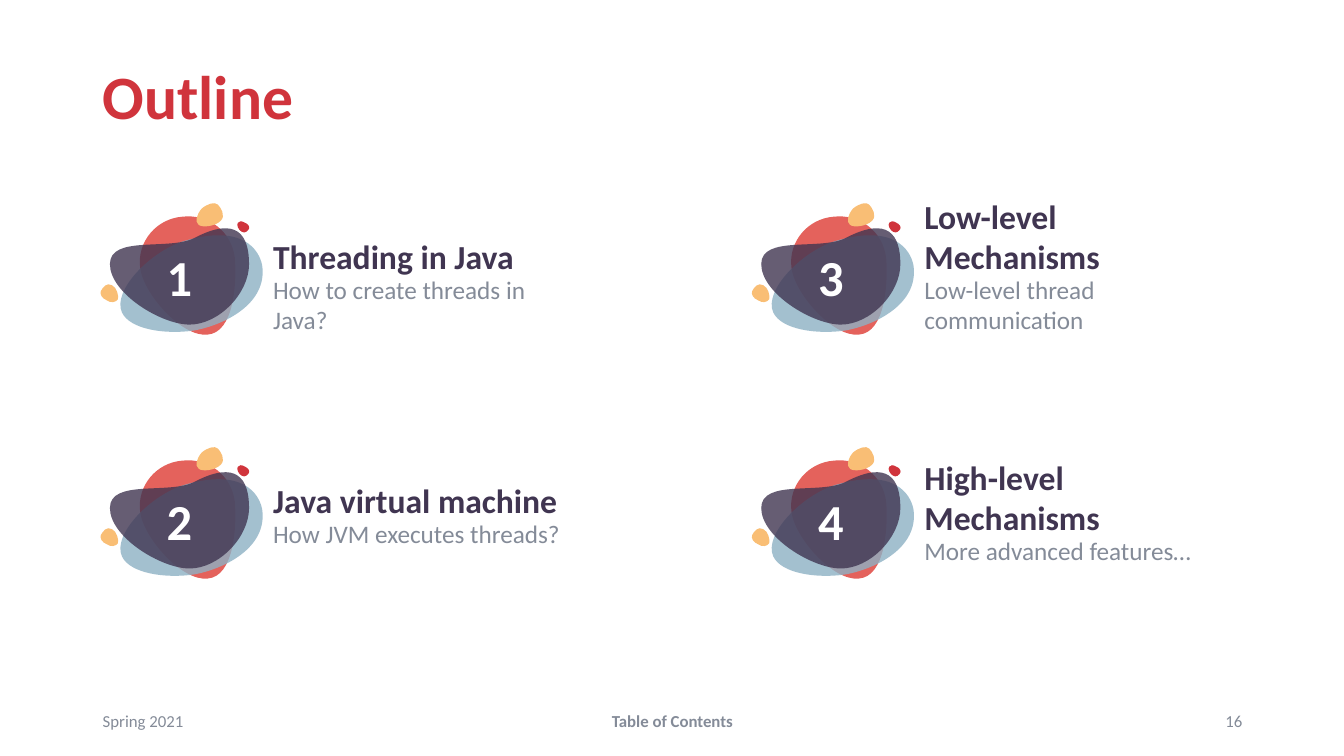
from dataclasses import dataclass

from lxml.etree import SubElement
from pptx import Presentation
from pptx.dml.color import RGBColor
from pptx.enum.text import MSO_ANCHOR as Anchor, MSO_AUTO_SIZE as AutoSize, PP_ALIGN as Align
from pptx.oxml.ns import qn
from pptx.util import Inches, Pt

FONT = "Calibri"
RED, CORAL, BLUE, PURPLE = "D0343C", "E4625C", "8DB1C4", "403551"
YELLOW, GREY, WHITE = "F9BE75", "848B98", "FFFFFF"
CURVE_STEPS = 16
COLUMN_GAP, ROW_GAP = 6.46, 2.42
TEXT_LEFT, TEXT_WIDTH = 2.61, 3.26
SIDE_INSET = 0.1
LINE_OVERLAP = 0.02

Point = tuple[float, float]


@dataclass(frozen=True)
class Blob:
    """A closed outline of cubic curves; each curve is two handles and an end."""
    color: str
    start: Point
    curves: tuple[tuple[Point, Point, Point], ...]
    opacity: int = 100
    numbered: bool = False


@dataclass(frozen=True)
class Topic:
    """One entry of the outline, placed in a two by two grid."""
    heading: str
    detail: str
    column: int
    row: int
    heading_bottom: float
    heading_height: float
    detail_height: float


@dataclass(frozen=True)
class Footer:
    """One part of the footer line."""
    words: str
    left: float
    width: float
    align: Align
    bold: bool = False


BADGE = (
    Blob(CORAL, (1.39, 2.65), (
        ((1.41, 2.9), (1.8, 3.35), (2.06, 3.32)),
        ((2.32, 3.3), (2.35, 2.81), (2.33, 2.56)),
        ((2.3, 2.3), (2.07, 2.12), (1.81, 2.15)),
        ((1.55, 2.17), (1.36, 2.4), (1.39, 2.65)))),
    Blob(BLUE, (1.21, 3.1), (
        ((1.29, 3.27), (1.64, 3.32), (1.92, 3.28)),
        ((2.21, 3.23), (2.66, 3.02), (2.6, 2.63)),
        ((2.57, 2.48), (2.41, 2.22), (1.83, 2.39)),
        ((1.5, 2.49), (1.11, 2.88), (1.21, 3.1))), opacity=80),
    Blob(PURPLE, (1.09, 2.62), (
        ((1.09, 2.91), (1.6, 3.22), (1.88, 3.22)),
        ((2.17, 3.22), (2.47, 2.91), (2.47, 2.62)),
        ((2.47, 2.33), (2.35, 2.14), (1.93, 2.36)),
        ((1.68, 2.49), (1.09, 2.33), (1.09, 2.62))), opacity=80, numbered=True),
    Blob(YELLOW, (1.97, 2.23), (
        ((2, 2.26), (2.13, 2.25), (2.19, 2.19)),
        ((2.24, 2.14), (2.19, 2.06), (2.16, 2.03)),
        ((2.13, 2), (2.06, 2.02), (2, 2.07)),
        ((1.95, 2.13), (1.93, 2.2), (1.97, 2.23)))),
    Blob(YELLOW, (1.17, 2.97), (
        ((1.18, 2.94), (1.16, 2.85), (1.11, 2.83)),
        ((1.06, 2.8), (1.02, 2.85), (1, 2.89)),
        ((0.99, 2.92), (1.01, 2.96), (1.06, 2.98)),
        ((1.1, 3.01), (1.15, 3), (1.17, 2.97)))),
    Blob(RED, (2.36, 2.21), (
        ((2.34, 2.23), (2.37, 2.29), (2.4, 2.3)),
        ((2.43, 2.32), (2.46, 2.29), (2.47, 2.27)),
        ((2.48, 2.25), (2.46, 2.22), (2.43, 2.21)),
        ((2.4, 2.19), (2.37, 2.19), (2.36, 2.21)))),
)

TOPICS = (
    Topic("Threading in Java", "How to create threads in Java?", 0, 0, 2.74, 0.61, 0.61),
    Topic("Java virtual machine", "How JVM executes threads?", 0, 1, 5.16, 0.61, 0.3),
    Topic("Low-level Mechanisms", "Low-level thread communication", 1, 0, 2.74, 1.01, 0.61),
    Topic("High-level Mechanisms", "More advanced features…", 1, 1, 5.33, 1.01, 0.3),
)

FOOTERS = (
    Footer("Spring 2021", 0.92, 3, Align.LEFT),
    Footer("Table of Contents", 4.42, 4.5, Align.CENTER, bold=True),
    Footer("16", 9.42, 3, Align.RIGHT),
)


def rgb(color: str) -> RGBColor:
    """Turn a hex string into a colour."""
    return RGBColor.from_string(color)


def write(frame, words: str, size: int, color: str, bold: bool = False,
          align: Align = Align.LEFT, anchor: Anchor = Anchor.MIDDLE) -> None:
    """Add one formatted run to the first paragraph of a text frame."""
    frame.word_wrap = True
    frame.vertical_anchor = anchor
    paragraph = frame.paragraphs[0]
    paragraph.alignment = align
    run = paragraph.add_run()
    run.text = words
    font = run.font
    font.name, font.size, font.bold = FONT, Pt(size), bold
    font.color.rgb = rgb(color)


def set_insets(frame, sides: float, top: float, bottom: float) -> None:
    """Set the inner margins of a text frame in inches."""
    frame.margin_left = frame.margin_right = Inches(sides)
    frame.margin_top, frame.margin_bottom = Inches(top), Inches(bottom)


def add_text(shapes, left: float, top: float, width: float, height: float):
    """Add a text box and return its text frame."""
    box = shapes.add_textbox(Inches(left), Inches(top), Inches(width), Inches(height))
    return box.text_frame


def curve_points(blob: Blob) -> list[Point]:
    """Sample the cubic curves of a blob to find its true bounds."""
    points, begin = [], blob.start
    for corners in blob.curves:
        for step in range(1, CURVE_STEPS + 1):
            t = step / CURVE_STEPS
            weights = ((1 - t) ** 3, 3 * t * (1 - t) ** 2, 3 * t * t * (1 - t), t ** 3)
            points.append(tuple(sum(w * c[axis] for w, c in zip(weights, (begin, *corners)))
                                for axis in (0, 1)))
        begin = corners[-1]
    return points


def bend(outline, blob: Blob, dx: float, dy: float) -> None:
    """Replace the straight segments of an outline by the curves of the blob."""
    route = outline._element.find(f".//{qn('a:path')}")
    for segment in route.findall(qn("a:lnTo")):
        route.remove(segment)
    closing = route.find(qn("a:close"))
    for corners in blob.curves:
        curve = SubElement(route, qn("a:cubicBezTo"))
        for x, y in corners:
            corner = SubElement(curve, qn("a:pt"))
            corner.set("x", str(Inches(x + dx) - outline.left))
            corner.set("y", str(Inches(y + dy) - outline.top))
    route.append(closing)


def add_blob(shapes, blob: Blob, dx: float, dy: float, number: int) -> None:
    """Draw a blob moved by dx and dy, with the number if it carries one."""
    start, *rest = [(Inches(x + dx), Inches(y + dy))
                    for x, y in (blob.start, *curve_points(blob))]
    builder = shapes.build_freeform(*start)
    builder.add_line_segments(rest, close=True)
    outline = builder.convert_to_shape()
    bend(outline, blob, dx, dy)
    outline.shadow.inherit = False
    outline.fill.solid()
    outline.fill.fore_color.rgb = rgb(blob.color)
    outline.line.fill.background()
    if blob.opacity < 100:
        tint = outline._element.spPr.find(f"{qn('a:solidFill')}/{qn('a:srgbClr')}")
        SubElement(tint, qn("a:alpha")).set("val", str(blob.opacity * 1000))
    if blob.numbered:
        set_insets(outline.text_frame, 0.04, 0.04, 0.04)
        write(outline.text_frame, str(number), 36, WHITE, True, Align.CENTER)


def add_topic(slide, topic: Topic, number: int) -> None:
    """Draw a numbered badge with its heading and detail as one group."""
    shapes = slide.shapes.add_group_shape().shapes
    dx, dy = topic.column * COLUMN_GAP, topic.row * ROW_GAP
    for blob in BADGE:
        add_blob(shapes, blob, dx, dy, number)
    left = TEXT_LEFT + dx
    heading = add_text(shapes, left, topic.heading_bottom - topic.heading_height,
                       TEXT_WIDTH, topic.heading_height)
    set_insets(heading, SIDE_INSET, 0.2, 0)
    write(heading, topic.heading, 24, PURPLE, True, anchor=Anchor.BOTTOM)
    detail = add_text(shapes, left, topic.heading_bottom - LINE_OVERLAP,
                      TEXT_WIDTH, topic.detail_height)
    set_insets(detail, SIDE_INSET, 0, 0)
    write(detail, topic.detail, 18, GREY, anchor=Anchor.TOP)
    heading.auto_size = detail.auto_size = AutoSize.SHAPE_TO_FIT_TEXT


deck = Presentation()
deck.slide_width, deck.slide_height = Inches(13.33), Inches(7.5)
outline_slide = deck.slides.add_slide(deck.slide_layouts[5])
title = outline_slide.shapes.title
title.left, title.top = Inches(0.92), Inches(0.37)
title.width, title.height = Inches(11.5), Inches(1.24)
write(title.text_frame, "Outline", 44, RED, True)
title.text_frame.paragraphs[0].line_spacing = 0.9
for footer in FOOTERS:
    words_frame = add_text(outline_slide.shapes, footer.left, 6.95, footer.width, 0.4)
    write(words_frame, footer.words, 12, GREY, footer.bold, footer.align)
for position, entry in enumerate(TOPICS, start=1):
    add_topic(outline_slide, entry, position)
deck.save("out.pptx")
